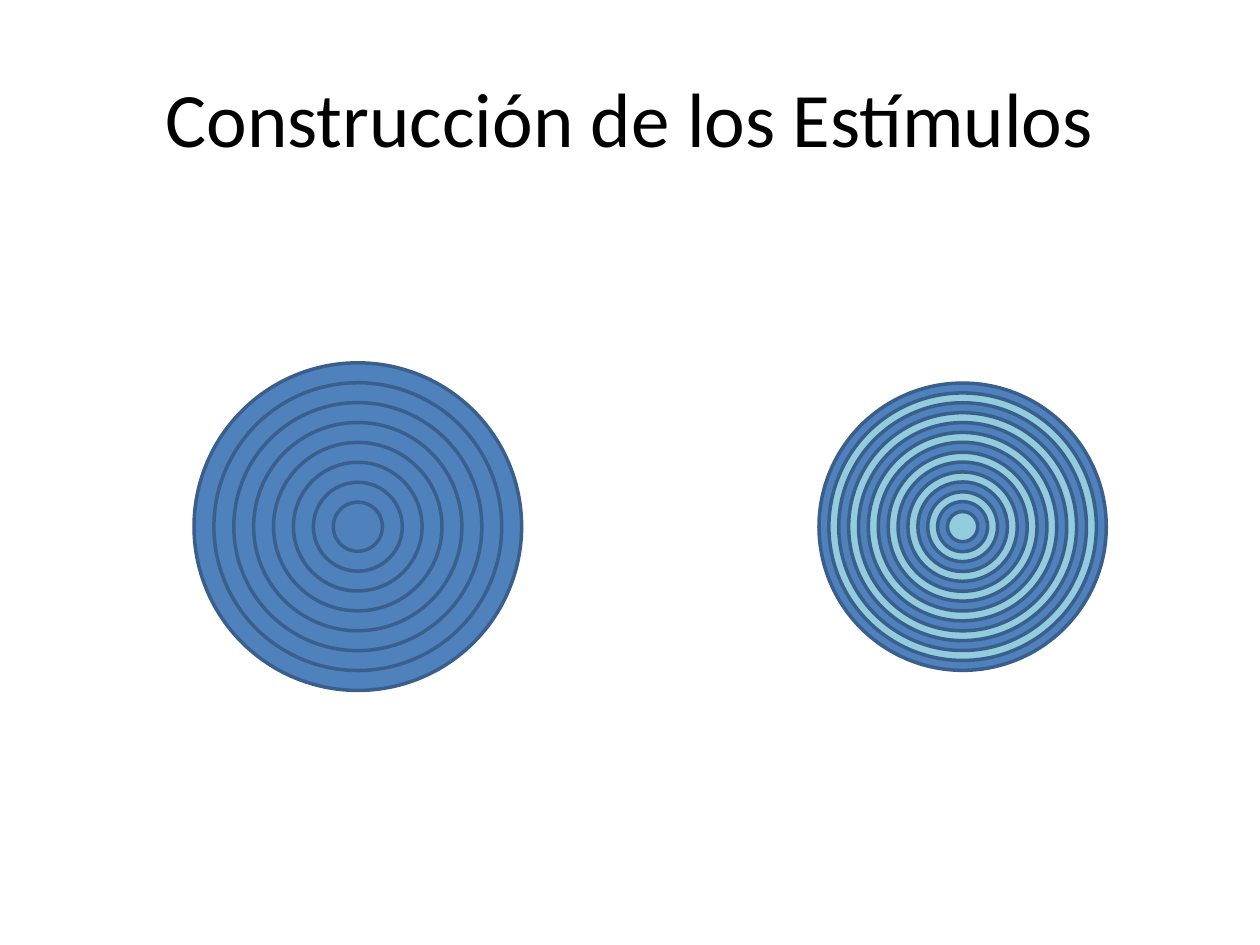
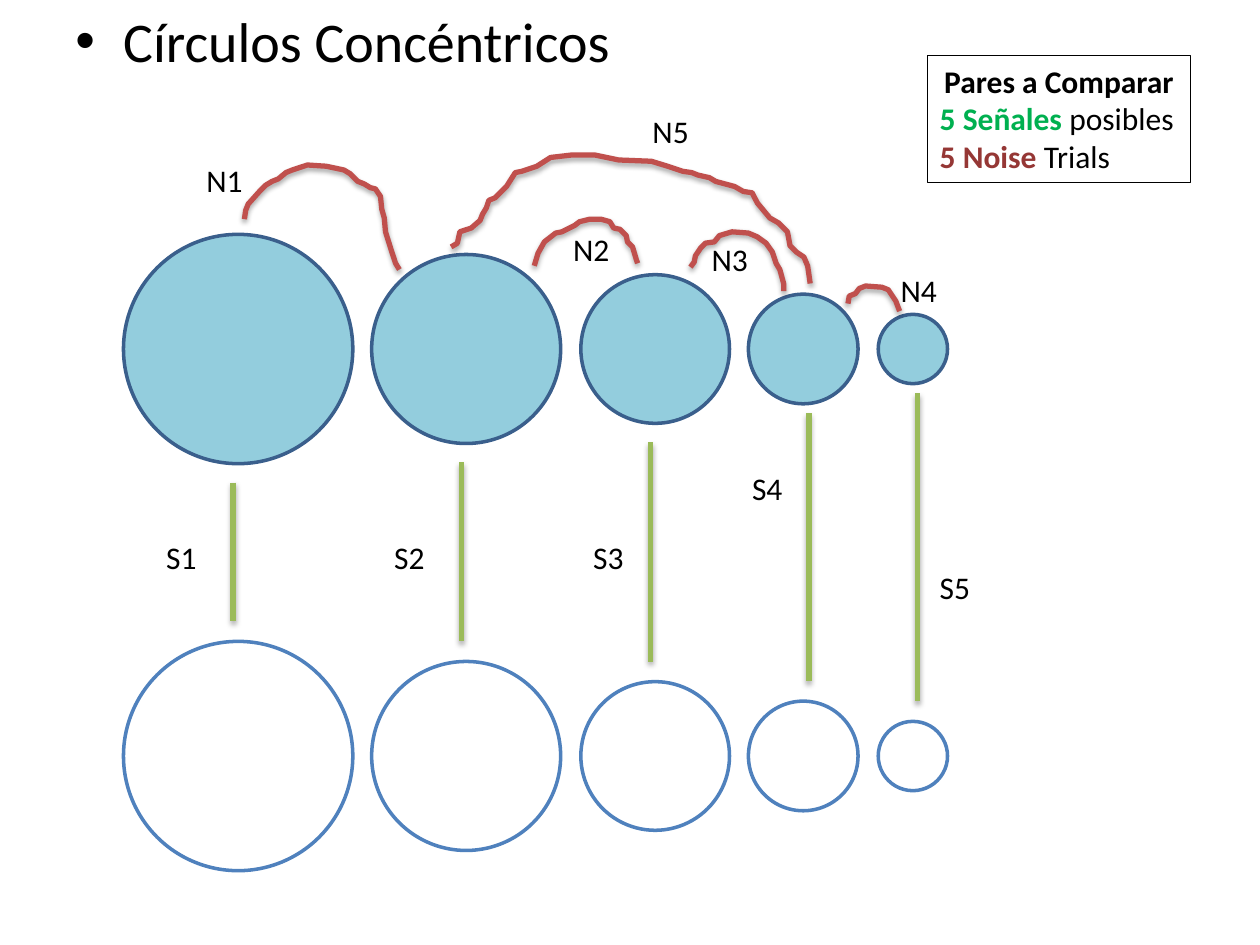
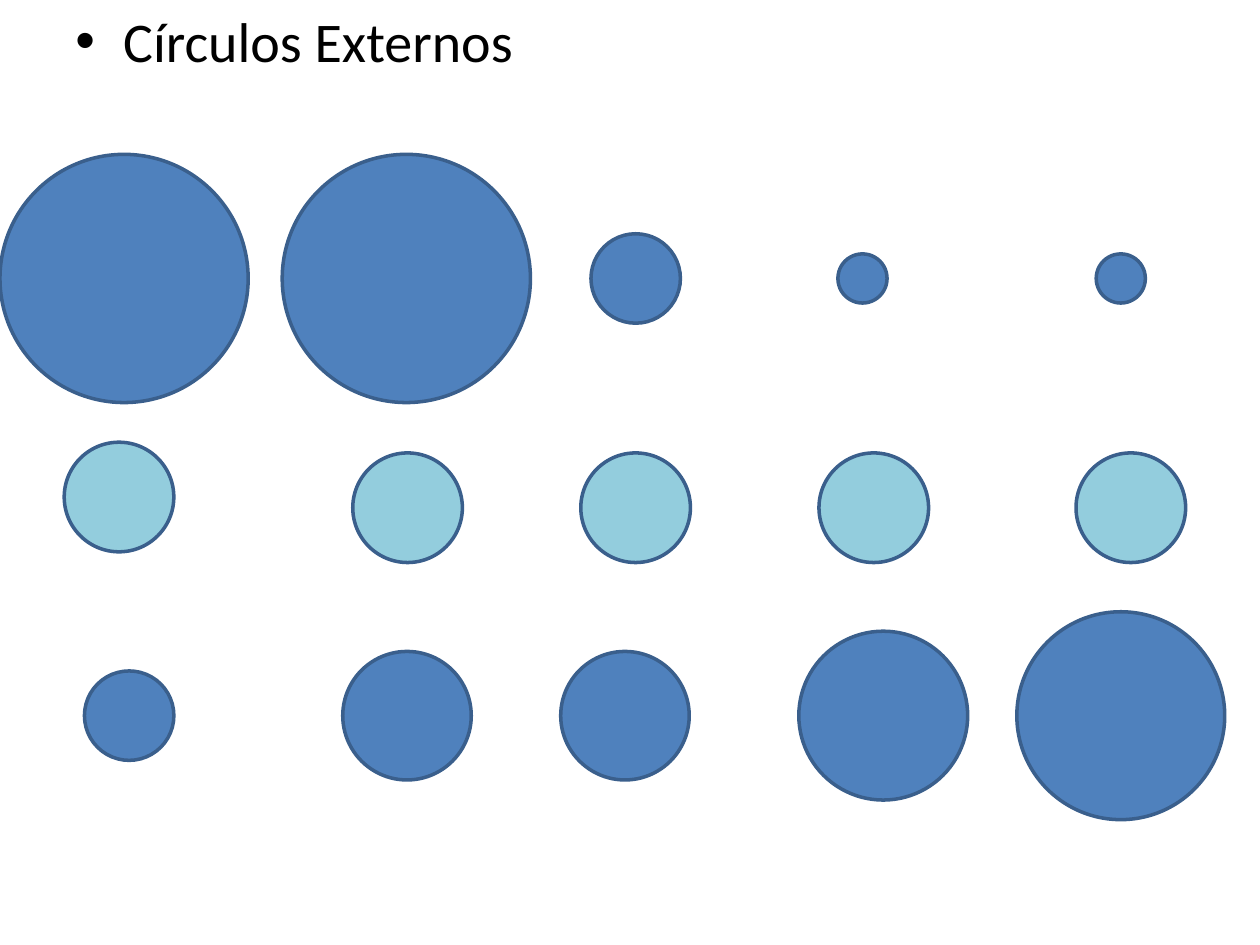
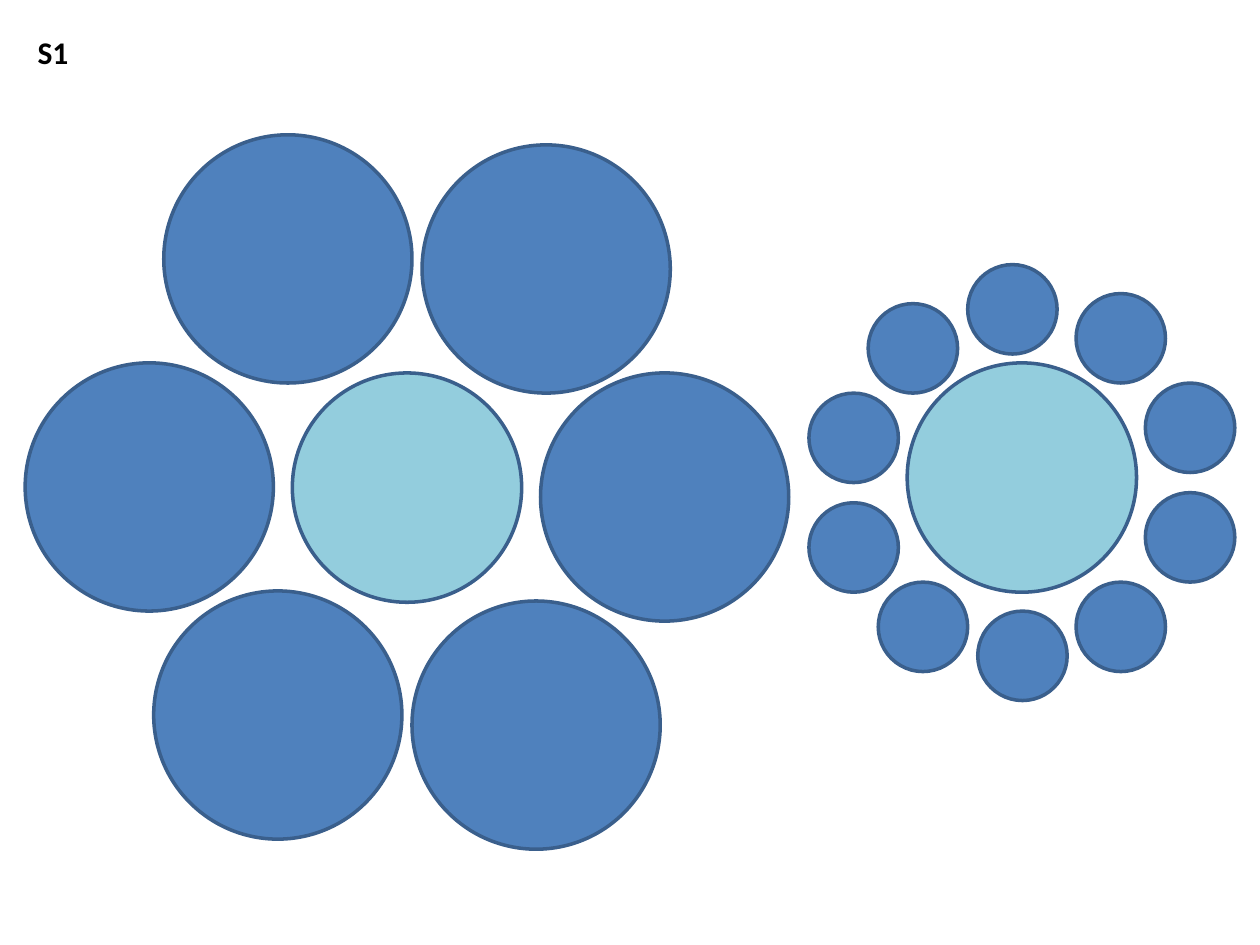
from dataclasses import dataclass
from typing import NamedTuple

import pptx
import pptx.dml.color
import pptx.enum.shapes
import pptx.enum.text
import pptx.oxml
import pptx.oxml.ns
import pptx.util
from pptx.dml.color import RGBColor
from pptx.util import Inches

# Shared look
FONT_NAME = "Calibri"
BLACK = RGBColor(0x00, 0x00, 0x00)
WHITE = RGBColor(0xFF, 0xFF, 0xFF)
BLUE = RGBColor(0x4F, 0x81, 0xBD)
DARK_BLUE = RGBColor(0x3A, 0x5F, 0x8C)
AQUA = RGBColor(0x93, 0xCD, 0xDD)
OLIVE = RGBColor(0x9B, 0xBB, 0x59)
RED = RGBColor(0xC0, 0x50, 0x4D)
GREEN = RGBColor(0x00, 0xB0, 0x50)
DARK_RED = RGBColor(0x95, 0x37, 0x35)

SHADOW_XML = (
    f'<a:effectLst {pptx.oxml.ns.nsdecls("a")}>'
    '<a:outerShdw blurRad="39370" dist="22860" dir="5400000" rotWithShape="0">'
    '<a:srgbClr val="000000"><a:alpha val="35000"/></a:srgbClr>'
    "</a:outerShdw></a:effectLst>"
)


class Disc(NamedTuple):
    left: float
    diameter: float


class Label(NamedTuple):
    text: str
    left: float
    top: float


class Piece(NamedTuple):
    text: str
    color: RGBColor = BLACK
    bold: bool = False


@dataclass(frozen=True)
class RingSet:
    centre_x: float
    outer: float
    inner: float
    count: int
    fills: tuple[RGBColor, ...]


@dataclass(frozen=True)
class Signal:
    x: float
    top: float


@dataclass(frozen=True)
class Cluster:
    """Satellite discs of one size around a central disc."""
    centre: tuple[float, float]
    diameter: float
    satellites: tuple[tuple[float, float], ...]


# Slide 1: concentric rings
RING_CENTRE_Y = 4.18
RING_SETS = (
    RingSet(2.84, 2.6, 0.39, 8, (BLUE,)),
    RingSet(7.64, 2.28, 0.24, 14, (BLUE, AQUA)),
)

# Slide 2: pairs to compare
PAIR_DISCS = (Disc(0.98, 1.82), Disc(2.95, 1.5), Disc(4.61, 1.18),
              Disc(5.94, 0.87), Disc(6.97, 0.55))
FILLED_ROW_Y = 2.77
EMPTY_ROW_Y = 6.0
SIGNAL_GAP = 0.16
SIGNALS = (Signal(1.85, 3.83), Signal(3.66, 3.67), Signal(5.16, 3.51),
           Signal(6.42, 3.28), Signal(7.28, 3.12))
LABELS = (
    Label("S1", 1.22, 4.22), Label("S2", 3.03, 4.22), Label("S3", 4.61, 4.22),
    Label("S4", 5.87, 3.67), Label("S5", 7.36, 4.46),
    Label("N1", 1.54, 1.23), Label("N2", 4.45, 1.78), Label("N3", 5.55, 1.86),
    Label("N4", 7.05, 2.1), Label("N5", 5.08, 0.84),
)
LEGEND = (
    (Piece("Pares a Comparar", bold=True),),
    (Piece("5 Señales ", GREEN, True), Piece("posibles")),
    (Piece("5 Noise ", DARK_RED, True), Piece("Trials")),
)
NOISE_CURVES = (
    ((1.94, 1.74), (1.95, 1.67), (1.97, 1.62), (2.06, 1.52), (2.11, 1.47),
     (2.16, 1.44), (2.21, 1.42), (2.27, 1.37), (2.32, 1.35), (2.44, 1.31),
     (2.59, 1.32), (2.73, 1.35), (2.78, 1.38), (2.84, 1.44), (2.89, 1.46),
     (2.94, 1.49), (2.98, 1.5), (3.02, 1.56), (3.03, 1.66), (3.05, 1.73),
     (3.06, 1.84), (3.11, 2.0), (3.14, 2.09), (3.17, 2.14)),
    ((4.24, 2.11), (4.27, 2.01), (4.32, 1.92), (4.41, 1.85), (4.46, 1.84),
     (4.56, 1.79), (4.6, 1.76), (4.68, 1.74), (4.77, 1.74), (4.84, 1.76),
     (4.87, 1.81), (4.92, 1.82), (4.97, 1.87), (4.98, 1.92), (5.02, 1.96),
     (5.05, 2.06), (5.06, 2.09)),
    ((5.48, 2.12), (5.51, 2.08), (5.52, 2.03), (5.56, 1.97), (5.6, 1.93),
     (5.67, 1.92), (5.71, 1.87), (5.81, 1.84), (5.94, 1.85), (6.01, 1.88),
     (6.08, 1.93), (6.13, 2.0), (6.16, 2.09), (6.19, 2.14), (6.22, 2.25),
     (6.22, 2.31)),
    ((6.73, 2.41), (6.74, 2.35), (6.79, 2.33), (6.82, 2.29), (6.87, 2.27),
     (7.0, 2.28), (7.05, 2.3), (7.11, 2.39), (7.14, 2.47)),
    ((6.43, 2.25), (6.41, 2.11), (6.38, 2.04), (6.32, 2.0), (6.27, 1.95),
     (6.25, 1.84), (6.18, 1.77), (6.11, 1.73), (6.01, 1.61), (5.97, 1.53),
     (5.9, 1.52), (5.83, 1.48), (5.68, 1.44), (5.63, 1.41), (5.54, 1.39),
     (5.49, 1.37), (5.42, 1.36), (5.3, 1.32), (5.17, 1.28), (4.91, 1.27),
     (4.72, 1.23), (4.54, 1.23), (4.37, 1.25), (4.26, 1.32), (4.14, 1.36),
     (4.09, 1.37), (4.02, 1.48), (3.93, 1.57), (3.88, 1.59), (3.86, 1.65),
     (3.83, 1.7), (3.81, 1.75), (3.74, 1.81), (3.65, 1.84), (3.63, 1.93),
     (3.58, 1.96)),
)

# Slide 3: outer discs above and below, centre discs between
TOP_DISCS = (Disc(0, 1.97), Disc(2.24, 1.97), Disc(4.69, 0.71),
             Disc(6.65, 0.39), Disc(8.7, 0.39))
MIDDLE_DISCS = tuple(Disc(left, 0.87) for left in (2.8, 4.61, 6.5, 8.54))
BOTTOM_DISCS = (Disc(0.67, 0.71), Disc(2.72, 1.02), Disc(4.45, 1.02),
                Disc(6.34, 1.34), Disc(8.07, 1.65))

# Slide 4: two discs of equal size, each in its ring of satellites
CENTRE_DIAMETER = 1.82
CLUSTERS = (
    Cluster((2.32, 2.96), 1.97, (
        (0.2, 2.88), (1.22, 4.69), (1.3, 1.07),
        (3.35, 1.15), (4.29, 2.96), (3.27, 4.77))),
    Cluster((7.2, 2.88), 0.71, (
        (7.76, 4.85), (6.97, 4.62), (8.54, 4.62), (9.09, 3.91), (6.42, 3.99),
        (6.42, 3.12), (6.89, 2.41), (7.68, 2.1), (8.54, 2.33), (9.09, 3.04))),
)


def add_blank_slide(presentation):
    return presentation.slides.add_slide(presentation.slide_layouts[6])


def draw_disc(slide, left: float, top: float, diameter: float,
              fill: RGBColor, outline: RGBColor = DARK_BLUE) -> None:
    shape = slide.shapes.add_shape(
        pptx.enum.shapes.MSO_SHAPE.OVAL, Inches(left), Inches(top),
        Inches(diameter), Inches(diameter))
    shape.shadow.inherit = False
    shape.fill.solid()
    shape.fill.fore_color.rgb = fill
    shape.line.color.rgb = outline
    shape.line.width = pptx.util.Pt(2)


def draw_row(slide, discs: tuple[Disc, ...], centre_y: float,
             fill: RGBColor, outline: RGBColor = DARK_BLUE) -> None:
    for disc in discs:
        draw_disc(slide, disc.left, centre_y - disc.diameter / 2,
                  disc.diameter, fill, outline)


def draw_rings(slide, rings: RingSet) -> None:
    step = (rings.outer - rings.inner) / (rings.count - 1)
    for index in range(rings.count):
        diameter = rings.outer - step * index
        draw_disc(slide, rings.centre_x - diameter / 2,
                  RING_CENTRE_Y - diameter / 2, diameter,
                  rings.fills[index % len(rings.fills)])


def style_stroke(shape, color: RGBColor) -> None:
    """Thick line with a soft shadow below."""
    shape.line.color.rgb = color
    shape.line.width = pptx.util.Pt(3)
    shape._element.spPr.append(pptx.oxml.parse_xml(SHADOW_XML))


def draw_signal(slide, signal: Signal, bottom: float) -> None:
    connector = slide.shapes.add_connector(
        pptx.enum.shapes.MSO_CONNECTOR.STRAIGHT, Inches(signal.x),
        Inches(signal.top), Inches(signal.x), Inches(bottom))
    style_stroke(connector, OLIVE)


def draw_noise_curve(slide, points: tuple[tuple[float, float], ...]) -> None:
    vertices = [(Inches(x), Inches(y)) for x, y in points]
    builder = slide.shapes.build_freeform(*vertices[0])
    builder.add_line_segments(vertices[1:], close=False)
    shape = builder.convert_to_shape()
    shape.fill.background()
    style_stroke(shape, RED)


def add_run(paragraph, piece: Piece, size: float) -> None:
    run = paragraph.add_run()
    run.text = piece.text
    run.font.color.rgb = piece.color
    font_format = {"name": FONT_NAME, "size": pptx.util.Pt(size), "bold": piece.bold}
    for attribute, value in font_format.items():
        setattr(run.font, attribute, value)


def add_text(slide, piece: Piece, left: float, top: float, width: float,
             height: float, size: float, **frame_format):
    shape = slide.shapes.add_textbox(
        Inches(left), Inches(top), Inches(width), Inches(height))
    for attribute, value in {"word_wrap": True, **frame_format}.items():
        setattr(shape.text_frame, attribute, value)
    paragraph = shape.text_frame.paragraphs[0]
    add_run(paragraph, piece, size)
    return paragraph


def add_label(slide, label: Label, bold: bool = False) -> None:
    add_text(slide, Piece(label.text, bold=bold), label.left, label.top, 0.55, 0.4,
             18, auto_size=pptx.enum.text.MSO_AUTO_SIZE.SHAPE_TO_FIT_TEXT)


def add_bullet_heading(slide, text: str, height: float) -> None:
    paragraph = add_text(slide, Piece(text), 0.5, 0, 9, height, 32)
    properties = paragraph._p.get_or_add_pPr()
    properties.set("marL", str(Inches(0.38)))
    properties.set("indent", str(Inches(-0.38)))
    namespace = pptx.oxml.ns.nsdecls("a")
    for bullet_xml in (f'<a:buFont {namespace} typeface="Arial"/>',
                       f'<a:buChar {namespace} char="•"/>'):
        properties.append(pptx.oxml.parse_xml(bullet_xml))


def add_legend(slide) -> None:
    shape = slide.shapes.add_shape(
        pptx.enum.shapes.MSO_SHAPE.RECTANGLE,
        Inches(7.36), Inches(0.44), Inches(2.09), Inches(1.01))
    shape.shadow.inherit = False
    shape.fill.background()
    shape.line.color.rgb = BLACK
    shape.line.width = pptx.util.Pt(0.75)
    frame = shape.text_frame
    frame_format = {
        "word_wrap": True,
        "vertical_anchor": pptx.enum.text.MSO_ANCHOR.TOP,
        "auto_size": pptx.enum.text.MSO_AUTO_SIZE.SHAPE_TO_FIT_TEXT,
    }
    for attribute, value in frame_format.items():
        setattr(frame, attribute, value)
    for index, pieces in enumerate(LEGEND):
        paragraph = frame.add_paragraph() if index else frame.paragraphs[0]
        paragraph.alignment = (pptx.enum.text.PP_ALIGN.LEFT if index
                               else pptx.enum.text.PP_ALIGN.CENTER)
        for piece in pieces:
            add_run(paragraph, piece, 18)


def build_stimuli_slide(presentation) -> None:
    slide = add_blank_slide(presentation)
    title = add_text(slide, Piece("Construcción de los Estímulos"), 0.5, 0.3, 9, 1.25,
                     44, vertical_anchor=pptx.enum.text.MSO_ANCHOR.MIDDLE)
    title.alignment = pptx.enum.text.PP_ALIGN.CENTER
    for rings in RING_SETS:
        draw_rings(slide, rings)


def build_concentric_slide(presentation) -> None:
    slide = add_blank_slide(presentation)
    draw_row(slide, PAIR_DISCS, FILLED_ROW_Y, AQUA)
    add_bullet_heading(slide, "Círculos Concéntricos", 0.92)
    draw_row(slide, PAIR_DISCS, EMPTY_ROW_Y, WHITE, BLUE)
    for signal, disc in zip(SIGNALS, PAIR_DISCS):
        draw_signal(slide, signal, EMPTY_ROW_Y - disc.diameter / 2 - SIGNAL_GAP)
    add_legend(slide)
    for points in NOISE_CURVES:
        draw_noise_curve(slide, points)
    for label in LABELS:
        add_label(slide, label)


def build_external_slide(presentation) -> None:
    slide = add_blank_slide(presentation)
    add_bullet_heading(slide, "Círculos Externos", 7.5)
    draw_row(slide, TOP_DISCS, 2.21, BLUE)
    draw_row(slide, BOTTOM_DISCS, 5.68, BLUE)
    # The first centre disc sits slightly above its row
    draw_disc(slide, 0.51, 3.51, 0.87, AQUA)
    draw_row(slide, MIDDLE_DISCS, 4.03, AQUA)


def build_signal_slide(presentation) -> None:
    slide = add_blank_slide(presentation)
    for cluster in CLUSTERS:
        draw_disc(slide, *cluster.centre, CENTRE_DIAMETER, AQUA)
    add_label(slide, Label("S1", 0.2, 0.21), bold=True)
    for cluster in CLUSTERS:
        for left, top in cluster.satellites:
            draw_disc(slide, left, top, cluster.diameter, BLUE)


def main() -> None:
    presentation = pptx.Presentation()
    presentation.slide_width = Inches(10)
    presentation.slide_height = Inches(7.5)
    build_stimuli_slide(presentation)
    build_concentric_slide(presentation)
    build_external_slide(presentation)
    build_signal_slide(presentation)
    presentation.save("out.pptx")


if __name__ == "__main__":
    main()
